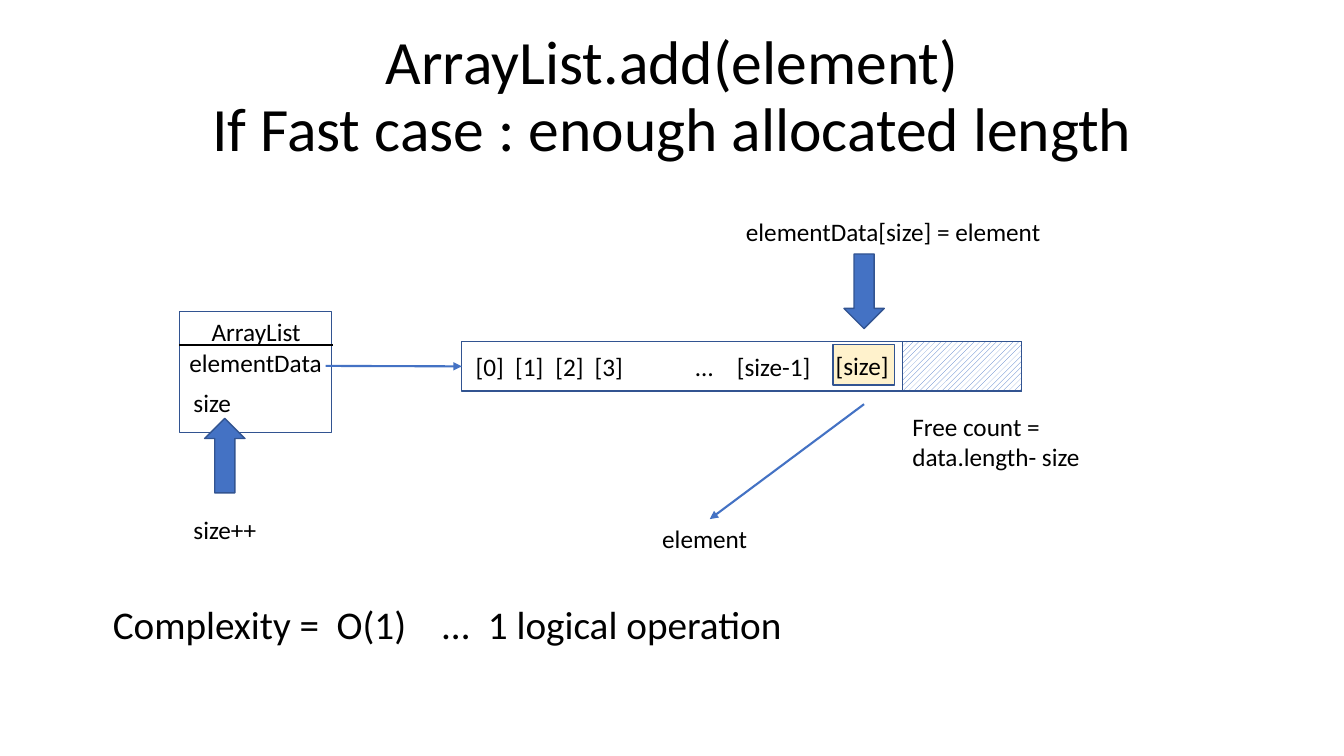
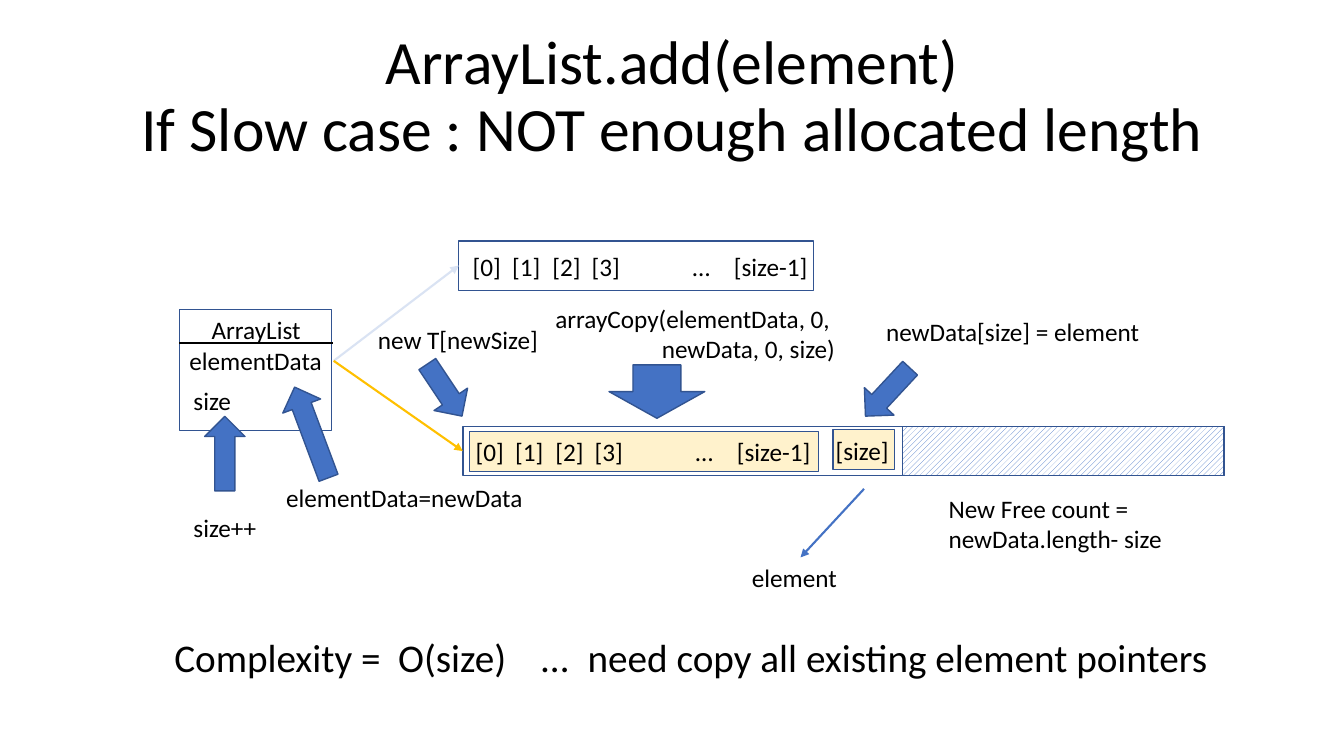
from lxml import etree
from pptx import Presentation
from pptx.dml.color import RGBColor
from pptx.enum.dml import MSO_PATTERN
from pptx.enum.shapes import MSO_CONNECTOR, MSO_SHAPE
from pptx.enum.text import MSO_ANCHOR, MSO_AUTO_SIZE, PP_ALIGN
from pptx.oxml.ns import qn
from pptx.util import Inches, Pt

FONT = "Calibri"
BLACK = RGBColor(0x00, 0x00, 0x00)
WHITE = RGBColor(0xFF, 0xFF, 0xFF)
BLUE = RGBColor(0x44, 0x72, 0xC4)
OUTLINE = RGBColor(0x32, 0x54, 0x91)
PALE_BLUE = RGBColor(0xDA, 0xE3, 0xF3)
CREAM = RGBColor(0xFF, 0xF2, 0xCC)
GOLD = RGBColor(0xFF, 0xC0, 0x00)

INDEXES = "[0]\t[1]\t[2]\t[3]\t…\t[size-1]"
INDEX_TABS = [0.39, 0.79, 1.18, 2.18, 2.59]


def add_label(page, text, left, top, width, size=18, tabs=()):
    """Text box with one paragraph per line; tab stops are in inches."""
    lines = text.split("\n")
    height = 0.57 if size > 18 else 0.4 + 0.31 * (len(lines) - 1)
    box = page.shapes.add_textbox(Inches(left), Inches(top), Inches(width), Inches(height))
    frame = box.text_frame
    frame.word_wrap = bool(tabs)
    for number, line in enumerate(lines):
        para = frame.add_paragraph() if number else frame.paragraphs[0]
        if tabs:
            stops = etree.SubElement(para._p.get_or_add_pPr(), qn("a:tabLst"))
            for tab in tabs:
                etree.SubElement(stops, qn("a:tab"), pos=str(Inches(tab)), algn="l")
        span = para.add_run()
        span.text = line
        span.font.name = FONT
        span.font.size = Pt(size)
        span.font.color.rgb = BLACK
    return box


def add_block(page, kind, left, top, width, height, fill=None, turn=0):
    """Outlined preset shape, hollow unless a fill colour is given."""
    block = page.shapes.add_shape(kind, Inches(left), Inches(top), Inches(width), Inches(height))
    block.shadow.inherit = False
    block.rotation = turn
    if fill is None:
        block.fill.background()
    else:
        block.fill.solid()
        block.fill.fore_color.rgb = fill
    block.line.color.rgb = OUTLINE
    block.line.width = Pt(1)
    return block


deck = Presentation()
deck.slide_width = Inches(13.33)
deck.slide_height = Inches(7.5)

# Shared title position
layout = deck.slide_layouts.get_by_name("Title Only")
layout_title = layout.placeholders[0]
layout_title.left, layout_title.top = Inches(0.92), Inches(0.15)
layout_title.width, layout_title.height = Inches(11.5), Inches(1.65)

# Second title line, list top, array left, top and width, free width
cases = [
    ("If Fast case : enough allocated length", 3.09, 4.58, 3.39, 5.55, 1.18),
    ("If Slow case : NOT enough allocated length", 3.07, 4.59, 4.23, 7.55, 3.19),
]
pages, arrays, data_labels, links = [], [], [], []

for heading, list_top, array_left, array_top, array_width, free_width in cases:
    page = deck.slides.add_slide(layout)
    pages.append(page)

    # Title
    frame = page.shapes.title.text_frame
    frame.auto_size = MSO_AUTO_SIZE.NONE
    frame.vertical_anchor = MSO_ANCHOR.MIDDLE
    para = frame.paragraphs[0]
    para.alignment = PP_ALIGN.CENTER
    para.line_spacing = 0.9
    for number, line in enumerate(["ArrayList.add(element)", heading]):
        if number:
            para.add_line_break()
        span = para.add_run()
        span.text = line
        span.font.name = FONT
        span.font.size = Pt(44)
        span.font.color.rgb = BLACK

    # List object and its size counter
    add_block(page, MSO_SHAPE.RECTANGLE, 1.78, list_top, 1.51, 1.2)
    add_label(page, "ArrayList", 2, list_top, 1.09)
    data_labels.append(add_label(page, "elementData", 1.78, list_top + 0.31, 1.53))
    add_label(page, "size", 1.82, list_top + 0.7, 0.58)
    add_label(page, "size++", 1.82, list_top + 1.96, 0.85)
    add_block(page, MSO_SHAPE.RIGHT_ARROW, 1.86, list_top + 1.23, 0.74, 0.4, BLUE, 270)
    divider_y = list_top + 0.33
    links.append((page, (1.78, divider_y), (3.3, divider_y), BLACK, None, None))

    # Array with its next slot and free part
    arrays.append(add_block(page, MSO_SHAPE.RECTANGLE, array_left, array_top, array_width, 0.49))
    free = add_block(page, MSO_SHAPE.RECTANGLE, 8.95, array_top, free_width, 0.49)
    free.fill.patterned()
    free.fill.pattern = MSO_PATTERN.WIDE_UPWARD_DIAGONAL
    free.fill.fore_color.rgb = BLUE
    free.fill.back_color.rgb = WHITE
    add_block(page, MSO_SHAPE.RECTANGLE, 8.26, array_top + 0.03, 0.61, 0.4, CREAM)
    add_label(page, "[size]", 8.19, array_top + 0.04, 0.77)

fast, slow = pages

# Fast case: array content, store and result
add_label(fast, INDEXES, 4.62, 3.44, 3.69, tabs=INDEX_TABS)
add_label(fast, "elementData[size] = element", 7.3, 2.1, 3.15)
add_block(fast, MSO_SHAPE.RIGHT_ARROW, 8.2, 2.69, 0.74, 0.4, BLUE, 90)
add_label(fast, "element", 6.47, 5.14, 1.06)
add_label(fast, "Free count =\ndata.length- size", 8.95, 4.03, 1.88)
add_label(fast, "Complexity =\tO(1)\t…\t1 logical operation", 1.02, 5.91, 11.95, 28,
          [2.22, 3.27, 3.72])

# Slow case: old array, and its content copied into the new one
old_array = add_block(slow, MSO_SHAPE.RECTANGLE, 4.55, 2.39, 3.52, 0.49)
add_block(slow, MSO_SHAPE.RECTANGLE, 4.66, 4.28, 3.46, 0.4, CREAM)
for left, top in [(4.59, 2.44), (4.62, 4.28)]:
    add_label(slow, INDEXES, left, top, 3.69, tabs=INDEX_TABS)

# Slow case: steps and their block arrows
add_label(slow, "new T[newSize]", 3.65, 3.17, 1.84)
copy_step = add_label(slow, "arrayCopy(elementData, 0,\nnewData, 0, size)", 5.41, 2.96, 2.97)
copy_step.text_frame.word_wrap = True
copy_step.text_frame.paragraphs[1].alignment = PP_ALIGN.RIGHT
add_label(slow, "newData[size] = element", 8.69, 3.09, 2.74)
add_label(slow, "elementData=newData", 2.74, 4.74, 2.57)
for left, top, width, height, turn in [
    (4.1, 3.67, 0.62, 0.4, 56.3),
    (6.25, 3.41, 0.53, 0.95, 90),
    (8.48, 3.69, 0.65, 0.4, 132.9),
    (2.61, 4.09, 0.96, 0.4, 249.5),
]:
    add_block(slow, MSO_SHAPE.RIGHT_ARROW, left, top, width, height, BLUE, turn)

# Slow case: result
add_label(slow, "element", 7.36, 5.53, 1.06)
add_label(slow, "New Free count =\nnewData.length- size", 9.31, 4.84, 2.34)
add_label(slow, "Complexity =\tO(size)\t…\tneed copy all existing element pointers",
          1.63, 6.23, 11.28, 28, [2.22, 3.64, 4.1])

# Dividers and pointers: page, start, end, colour, shape joined at start, at end
links += [
    (fast, (3.23, 3.63), (4.58, 3.63), BLUE, None, arrays[0]),
    (fast, (8.57, 4.01), (7.04, 5.15), BLUE, None, None),
    (slow, (3.31, 3.58), (4.55, 2.64), PALE_BLUE, data_labels[1], old_array),
    (slow, (3.31, 3.58), (4.59, 4.48), GOLD, data_labels[1], arrays[1]),
    (slow, (8.57, 4.85), (7.94, 5.53), BLUE, None, None),
]
for page, start, end, colour, source, target in links:
    link = page.shapes.add_connector(
        MSO_CONNECTOR.STRAIGHT, *[Inches(value) for value in start + end])
    if source is not None:
        link.begin_connect(source, 3)
    if target is not None:
        link.end_connect(target, 1)
    link.line.color.rgb = colour
    link.line.width = Pt(1.5)
    if colour != BLACK:
        etree.SubElement(link.line._get_or_add_ln(), qn("a:tailEnd"), type="triangle")
    etree.SubElement(link._element.spPr, qn("a:effectLst"))

deck.save("out.pptx")
